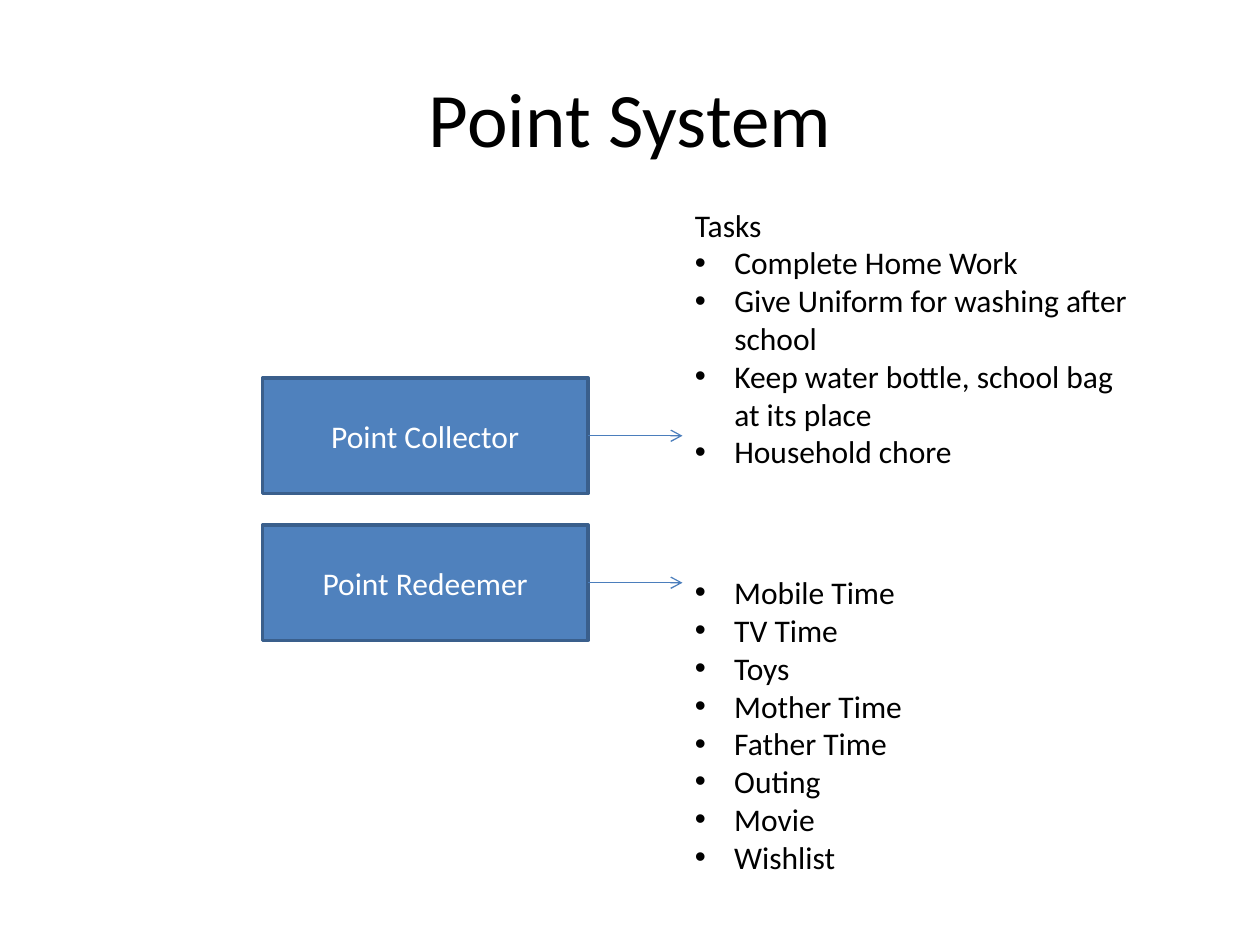
from dataclasses import dataclass

from lxml.etree import SubElement
from pptx import Presentation
from pptx.dml.color import RGBColor
from pptx.enum.shapes import MSO_CONNECTOR, MSO_SHAPE
from pptx.enum.text import MSO_ANCHOR, MSO_AUTO_SIZE, PP_ALIGN
from pptx.oxml.ns import qn
from pptx.shapes.autoshape import Shape
from pptx.slide import Slide
from pptx.text.text import TextFrame
from pptx.util import Emu, Pt

EMU_PER_PX = 7620  # 120 px to the inch


@dataclass(frozen=True)
class Theme:
    font: str = "Calibri"
    title_size: int = 44
    body_size: int = 18
    ink: str = "000000"
    box_text: str = "FFFFFF"
    box_fill: str = "4F81BD"
    box_line: str = "3A5F8C"
    arrow: str = "4B7EBC"


@dataclass(frozen=True)
class Area:
    left: int
    top: int
    width: int
    height: int

    def emu(self) -> tuple[Emu, ...]:
        return tuple(px(n) for n in (self.left, self.top, self.width, self.height))


@dataclass(frozen=True)
class Role:
    name: str
    box: Area
    list_area: Area
    items: tuple[str, ...]
    heading: str = ""


THEME = Theme()
TITLE_AREA = Area(60, 36, 1080, 150)
LIST_LEFT = 650
BULLET_INDENT = 37.5

ROLES = (
    Role("Point Collector", Area(250, 360, 310, 110), Area(LIST_LEFT, 190, 440, 302),
         ("Complete Home Work", "Give Uniform for washing after school",
          "Keep water bottle, school bag at its place", "Household chore"),
         heading="Tasks"),
    Role("Point Redeemer", Area(250, 500, 310, 110), Area(LIST_LEFT, 540, 350, 302),
         ("Mobile Time", "TV Time", "Toys", "Mother Time", "Father Time",
          "Outing", "Movie", "Wishlist")),
)


def px(length: float) -> Emu:
    return Emu(round(length * EMU_PER_PX))


def rgb(value: str) -> RGBColor:
    return RGBColor.from_string(value)


def write(frame: TextFrame, text: str, *, size: int = THEME.body_size,
          color: str = THEME.ink, align: PP_ALIGN = PP_ALIGN.LEFT,
          bullet: bool = False) -> None:
    """Fill the first empty paragraph, or append a new one."""
    para = frame.paragraphs[0] if not frame.text else frame.add_paragraph()
    para.alignment = align
    span = para.add_run()
    span.text = text
    span.font.name = THEME.font
    span.font.size = Pt(size)
    span.font.color.rgb = rgb(color)
    if bullet:
        props = para._p.get_or_add_pPr()
        props.set("marL", str(px(BULLET_INDENT)))
        props.set("indent", str(px(-BULLET_INDENT)))
        SubElement(props, qn("a:buFont"), typeface="Arial")
        SubElement(props, qn("a:buChar"), char="•")


def add_title(page: Slide, text: str) -> None:
    title = page.shapes.title
    title.left, title.top, title.width, title.height = TITLE_AREA.emu()
    title.text_frame.vertical_anchor = MSO_ANCHOR.MIDDLE
    write(title.text_frame, text, size=THEME.title_size, align=PP_ALIGN.CENTER)


def add_box(page: Slide, role: Role) -> Shape:
    box = page.shapes.add_shape(MSO_SHAPE.RECTANGLE, *role.box.emu())
    box.shadow.inherit = False
    box.fill.solid()
    box.fill.fore_color.rgb = rgb(THEME.box_fill)
    box.line.color.rgb = rgb(THEME.box_line)
    box.line.width = Pt(2)
    box.text_frame.vertical_anchor = MSO_ANCHOR.MIDDLE
    write(box.text_frame, role.name, color=THEME.box_text, align=PP_ALIGN.CENTER)
    return box


def add_list(page: Slide, role: Role) -> None:
    frame = page.shapes.add_textbox(*role.list_area.emu()).text_frame
    frame.word_wrap = True
    frame.auto_size = MSO_AUTO_SIZE.SHAPE_TO_FIT_TEXT
    if role.heading:
        write(frame, role.heading)
    for item in role.items:
        write(frame, item, bullet=True)


def add_arrow(page: Slide, box: Shape) -> None:
    middle = box.top + box.height // 2
    arrow = page.shapes.add_connector(
        MSO_CONNECTOR.STRAIGHT, box.left + box.width, middle, px(LIST_LEFT), middle)
    arrow.begin_connect(box, 3)
    arrow.line.color.rgb = rgb(THEME.arrow)
    arrow.line.width = Pt(0.75)
    SubElement(arrow.line._get_or_add_ln(), qn("a:tailEnd"), type="arrow")
    SubElement(arrow._element.spPr, qn("a:effectLst"))


def main() -> None:
    deck = Presentation()
    deck.slide_width, deck.slide_height = px(1200), px(900)
    page = deck.slides.add_slide(deck.slide_layouts[5])  # title only
    add_title(page, "Point System")

    # Each role: a box, an arrow and its list
    for role in ROLES:
        box = add_box(page, role)
        add_arrow(page, box)
        add_list(page, role)

    deck.save("out.pptx")


if __name__ == "__main__":
    main()
